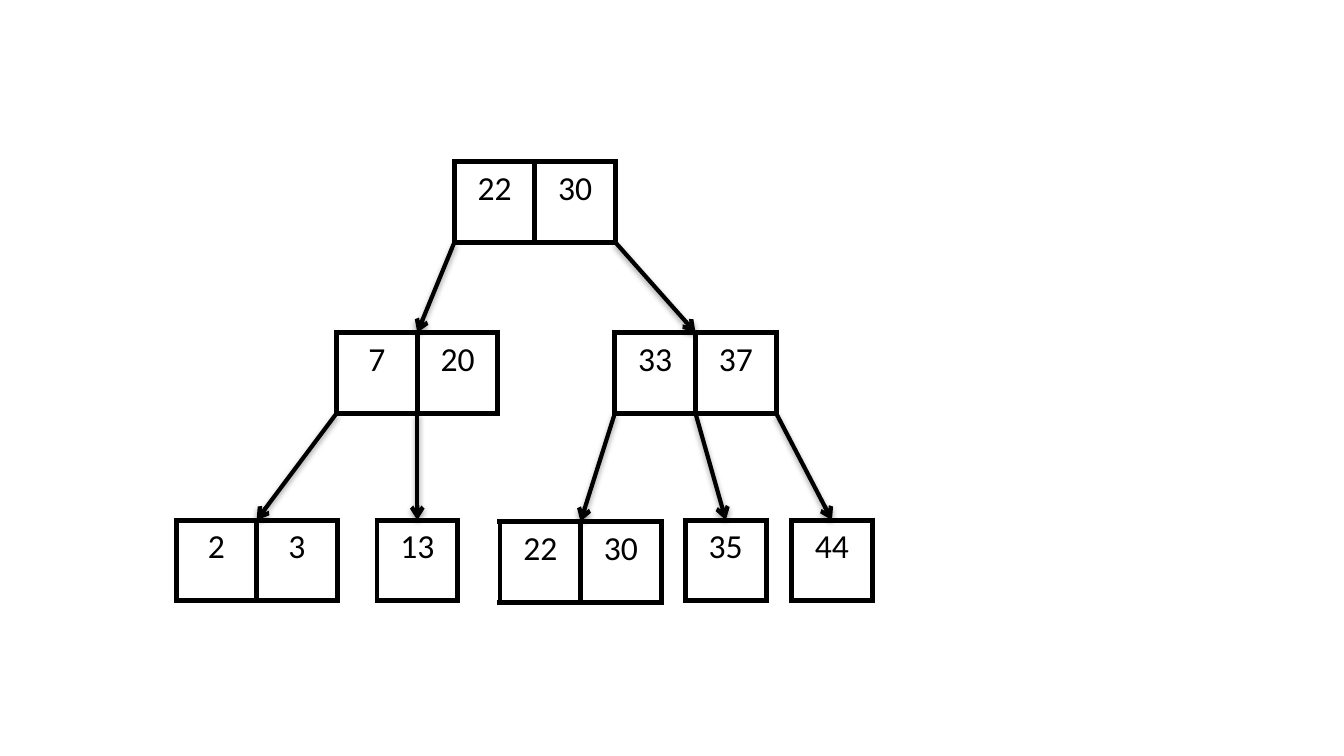
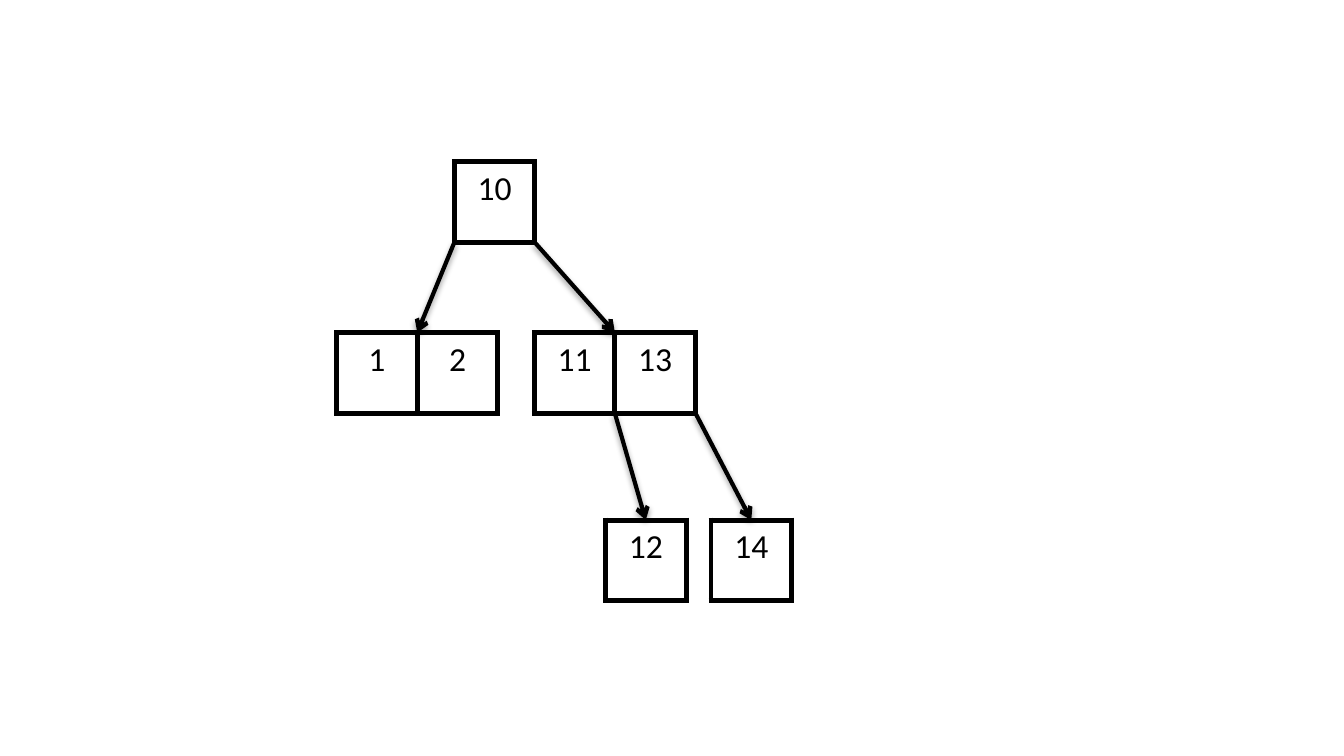
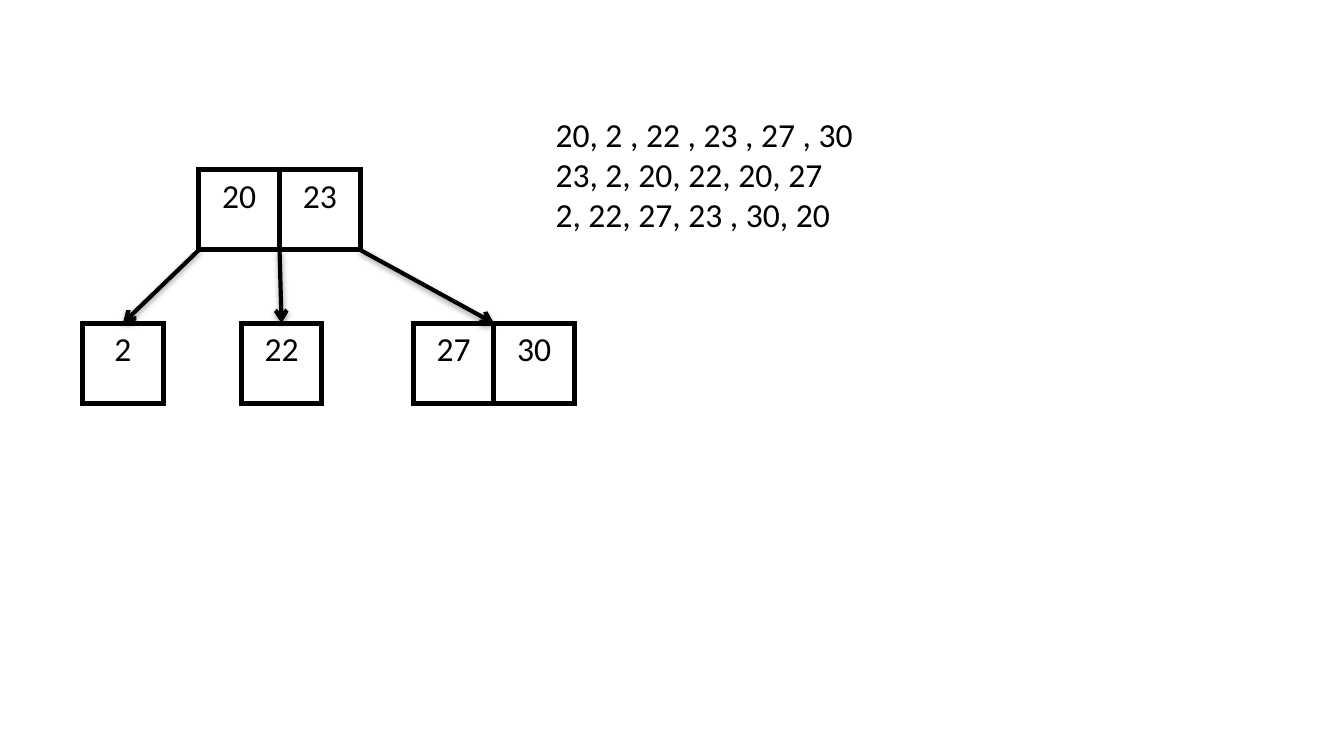
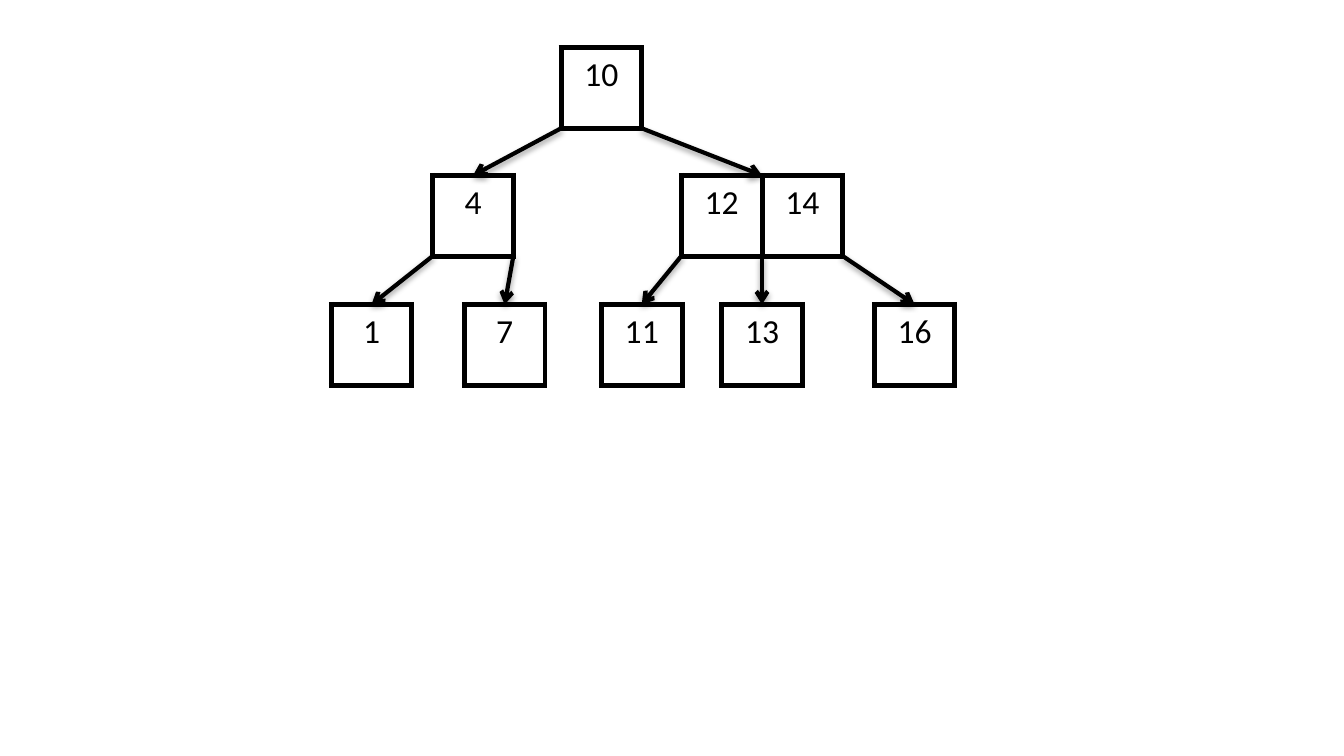
from dataclasses import dataclass, field

from lxml import etree
from pptx import Presentation
from pptx.dml.color import RGBColor
from pptx.enum.shapes import MSO_CONNECTOR
from pptx.enum.text import MSO_AUTO_SIZE, PP_ALIGN
from pptx.oxml import parse_xml
from pptx.oxml.ns import nsdecls, qn
from pptx.util import Emu, Pt

# Scale: 200 px to the inch
EMU_PER_PX = 4572
SLIDE_WIDTH, SLIDE_HEIGHT = 2000, 1125
CELL = 120

# Shared style
BLACK = RGBColor(0x00, 0x00, 0x00)
FONT = "Calibri"
FONT_SIZE = Pt(18)
BORDER_WIDTH = Pt(3)
ARROW_WIDTH = Pt(2.25)
BLANK_LAYOUT = 6
CENTER = PP_ALIGN.CENTER
STRAIGHT = MSO_CONNECTOR.STRAIGHT
GROW = MSO_AUTO_SIZE.SHAPE_TO_FIT_TEXT

ARROW_SHADOW = f"""
<a:effectLst {nsdecls("a")}>
  <a:outerShdw blurRad="40000" dist="20000" dir="5400000" rotWithShape="0">
    <a:srgbClr val="{BLACK}"><a:alpha val="38000"/></a:srgbClr>
  </a:outerShdw>
</a:effectLst>"""


@dataclass
class Node:
    """A tree node; children maps a slot (0 is the left corner) to a node."""
    keys: list
    left: int
    top: int
    children: dict = field(default_factory=dict)

    @property
    def width(self):
        return CELL * len(self.keys)


def px(length):
    return Emu(round(length * EMU_PER_PX))


def style_paragraph(paragraph, alignment=None):
    paragraph.alignment = alignment
    for run in paragraph.runs:
        run.font.name = FONT
        run.font.size = FONT_SIZE
        run.font.color.rgb = BLACK


# Element kinds
def add_borders(cell_properties):
    for position, side in enumerate(("lnL", "lnR", "lnT", "lnB")):
        border = parse_xml(
            f'<a:{side} {nsdecls("a")} w="{BORDER_WIDTH}"><a:solidFill>'
            f'<a:srgbClr val="{BLACK}"/></a:solidFill></a:{side}>')
        cell_properties.insert(position, border)


def add_node(slide, node):
    frame = slide.shapes.add_table(
        1, len(node.keys), px(node.left), px(node.top), px(node.width), px(CELL))
    table = frame.table
    table.first_row = False
    table.horz_banding = False
    for cell, key in zip(table.iter_cells(), node.keys):
        cell.text_frame.text = str(key)
        style_paragraph(cell.text_frame.paragraphs[0], CENTER)
        cell.fill.background()
    for cell_properties in frame.element.iter(qn("a:tcPr")):
        add_borders(cell_properties)


def add_arrow(slide, parent, slot, child):
    connector = slide.shapes.add_connector(
        STRAIGHT,
        px(parent.left + slot * CELL), px(parent.top + CELL),
        px(child.left + child.width / 2), px(child.top))
    connector.line.color.rgb = BLACK
    connector.line.width = ARROW_WIDTH
    properties = connector.element.spPr
    etree.SubElement(properties.find(qn("a:ln")), qn("a:tailEnd"), type="arrow")
    properties.append(parse_xml(ARROW_SHADOW))


def add_tree(slide, node):
    add_node(slide, node)
    for slot, child in node.children.items():
        add_tree(slide, child)
        add_arrow(slide, node, slot, child)


def add_lines(slide, lines, left, top, width, height):
    box = slide.shapes.add_textbox(px(left), px(top), px(width), px(height))
    text_frame = box.text_frame
    text_frame.word_wrap = True
    text_frame.auto_size = GROW
    text_frame.text = "\n".join(lines)
    for paragraph in text_frame.paragraphs:
        style_paragraph(paragraph)


# Content
def build_trees():
    root, middle, leaf = 241, 495, 774
    three_levels = Node([22, 30], 676, root, {
        0: Node([7, 20], 501, middle, {
            0: Node([2, 3], 262, leaf),
            1: Node([13], 561, leaf)}),
        2: Node([33, 37], 915, middle, {
            0: Node([22, 30], 744, leaf + 2),
            1: Node([35], 1020, leaf),
            2: Node([44], 1178, leaf)})})

    unbalanced = Node([10], 676, root, {
        0: Node([1, 2], 501, middle),
        1: Node([11, 13], 795, middle, {
            1: Node([12], 901, leaf),
            2: Node([14], 1058, leaf)})})

    leaf = 481
    two_levels = Node([20, 23], 296, 252, {
        0: Node([2], 123, leaf),
        1: Node([22], 359, leaf),
        2: Node([27, 30], 615, leaf)})

    root, middle, leaf = 71, 261, 453
    balanced = Node([10], 835, root, {
        0: Node([4], 644, middle, {
            0: Node([1], 493, leaf),
            1: Node([7], 691, leaf)}),
        1: Node([12, 14], 1014, middle, {
            0: Node([11], 895, leaf),
            1: Node([13], 1074, leaf),
            2: Node([16], 1301, leaf)})})
    return three_levels, unbalanced, two_levels, balanced


INSERTION_ORDERS = [
    "20, 2 , 22 , 23 , 27 , 30",
    "23, 2, 20, 22, 20, 27",
    "2, 22, 27, 23 , 30, 20",
]


def main():
    presentation = Presentation()
    presentation.slide_width = px(SLIDE_WIDTH)
    presentation.slide_height = px(SLIDE_HEIGHT)
    slides = []
    for tree in build_trees():
        slide = presentation.slides.add_slide(presentation.slide_layouts[BLANK_LAYOUT])
        add_tree(slide, tree)
        slides.append(slide)
    add_lines(slides[2], INSERTION_ORDERS, 807, 159, 816, 202)
    presentation.save("out.pptx")


if __name__ == "__main__":
    main()
